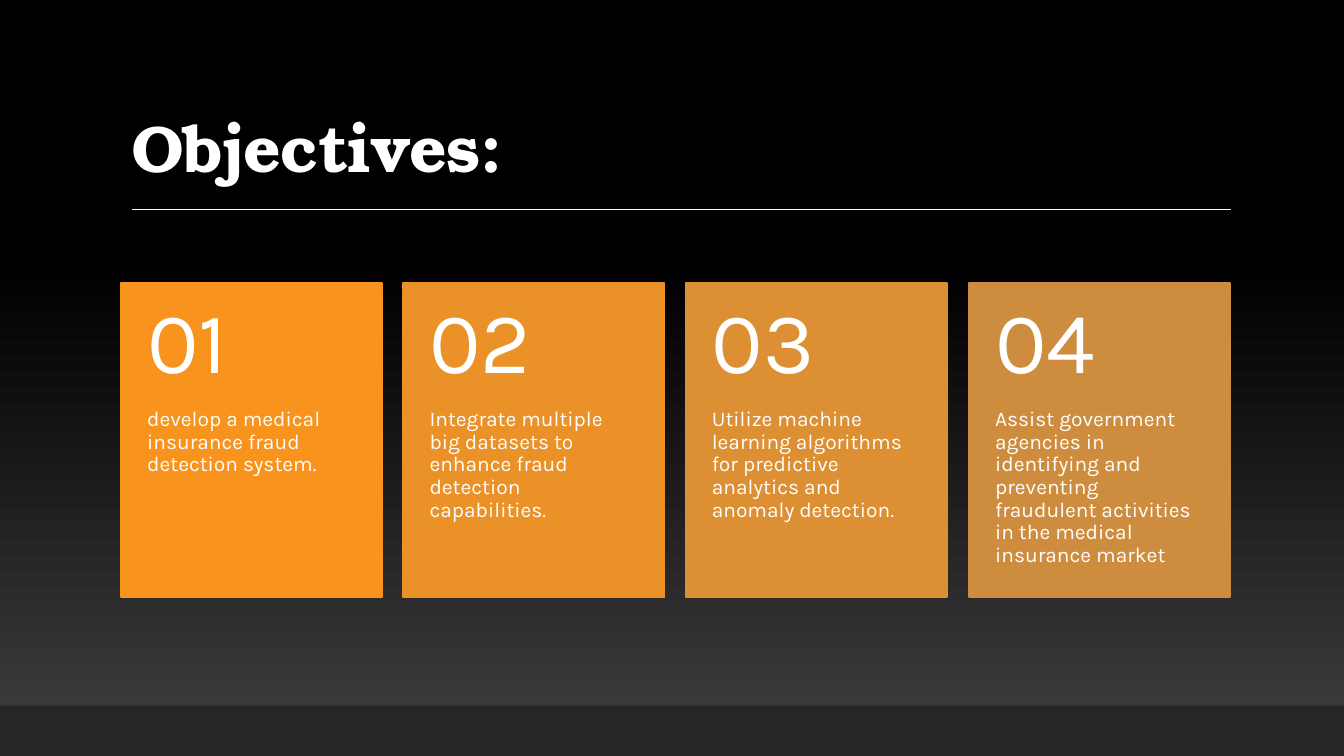
from dataclasses import dataclass

from lxml import etree
from pptx import Presentation
from pptx.dml.color import RGBColor
from pptx.enum.shapes import MSO_CONNECTOR, MSO_SHAPE
from pptx.enum.text import MSO_ANCHOR, MSO_AUTO_SIZE, PP_ALIGN
from pptx.oxml.ns import qn
from pptx.util import Emu, Pt

PX = 9144  # 100 px to the inch
SLIDE_W, SLIDE_H = 1333, 750
TITLE_ONLY = 5

RECT = MSO_SHAPE.RECTANGLE
STRAIGHT = MSO_CONNECTOR.STRAIGHT
TOP, MIDDLE, BOTTOM = MSO_ANCHOR.TOP, MSO_ANCHOR.MIDDLE, MSO_ANCHOR.BOTTOM
LEFT = PP_ALIGN.LEFT
NO_AUTOFIT = MSO_AUTO_SIZE.NONE

WHITE = RGBColor(0xFF, 0xFF, 0xFF)
BLACK = RGBColor(0x00, 0x00, 0x00)
GREY = RGBColor(0x3F, 0x3F, 0x3F)
FOOTER_GREY = RGBColor(0x26, 0x26, 0x26)

TITLE_FONT, BODY_FONT = "TeX Gyre Bonum", "Karla"

CARD_LEFT, CARD_TOP, CARD_W, CARD_H = 120, 281, 259, 311
CARDS_RIGHT = 1220
NUMBER_H = 124


@dataclass(frozen=True)
class Card:
    text: str
    color: RGBColor


@dataclass(frozen=True)
class TextStyle:
    font: str
    size: int
    anchor: MSO_ANCHOR
    insets: tuple[int, int, int, int]
    bold: bool = False


TITLE_STYLE = TextStyle(TITLE_FONT, 47, BOTTOM, (10, 5, 10, 5), bold=True)
NUMBER_STYLE = TextStyle(BODY_FONT, 62, MIDDLE, (26, 18, 26, 18))
BODY_STYLE = TextStyle(BODY_FONT, 15, TOP, (26, 0, 26, 36))

CARDS = [
    Card("develop a medical insurance fraud detection system.",
         RGBColor(0xF8, 0x93, 0x1D)),
    Card("Integrate multiple big datasets to enhance fraud detection capabilities.",
         RGBColor(0xEA, 0x91, 0x28)),
    Card("Utilize machine learning algorithms for predictive analytics and "
         "anomaly detection.",
         RGBColor(0xDC, 0x8F, 0x33)),
    Card("Assist government agencies in identifying and preventing fraudulent "
         "activities in the medical insurance market",
         RGBColor(0xCE, 0x8D, 0x3E)),
]


def px(*lengths: int) -> list[Emu]:
    return [Emu(n * PX) for n in lengths]


def fill_gradient(fill) -> None:
    """Fade from grey at the bottom to black at 65 % of the height."""
    fill.gradient()
    fill.gradient_angle = 90
    for stop, position, color in zip(fill.gradient_stops, (0, 0.65), (GREY, BLACK)):
        stop.position = position
        stop.color.rgb = color


def add_rect(shapes, *box: int):
    sp = shapes.add_shape(RECT, *px(*box))
    sp.shadow.inherit = False
    sp.line.fill.background()
    return sp


def set_text(sp, text: str, style: TextStyle) -> None:
    tf = sp.text_frame
    tf.text = text
    tf.word_wrap = True
    tf.auto_size = NO_AUTOFIT
    tf.vertical_anchor = style.anchor
    (tf.margin_left, tf.margin_top,
     tf.margin_right, tf.margin_bottom) = px(*style.insets)
    p = tf.paragraphs[0]
    p.alignment = LEFT
    p.line_spacing = 0.9
    font = p.runs[0].font
    font.name = style.font
    font.size = Pt(style.size)
    font.bold = style.bold
    font.color.rgb = WHITE


def add_title(s) -> None:
    sp = s.shapes.title
    sp.left, sp.top, sp.width, sp.height = px(120, 31, 1100, 159)
    set_text(sp, "Objectives:", TITLE_STYLE)
    r = sp.text_frame.paragraphs[0].runs[0]
    r.font._element.set("spc", "-50")


def add_title_rule(s) -> None:
    line = s.shapes.add_connector(STRAIGHT, *px(131, 208, 1221, 208))
    line.line.color.rgb = WHITE
    line.line.width = Pt(1)
    etree.SubElement(line._element.spPr, qn("a:effectLst"))


def add_card(shapes, number: int, left: int, card: Card) -> None:
    sp = add_rect(shapes, left, CARD_TOP, CARD_W, CARD_H)
    sp.fill.solid()
    sp.fill.fore_color.rgb = card.color
    sp.line.color.rgb = card.color
    sp.line.width = Pt(1.25)

    body = shapes.add_textbox(
        *px(left, CARD_TOP + NUMBER_H, CARD_W, CARD_H - NUMBER_H))
    set_text(body, card.text, BODY_STYLE)
    heading = shapes.add_textbox(*px(left, CARD_TOP, CARD_W, NUMBER_H))
    set_text(heading, f"{number:02}", NUMBER_STYLE)


def main() -> None:
    prs = Presentation()
    prs.slide_width, prs.slide_height = px(SLIDE_W, SLIDE_H)
    s = prs.slides.add_slide(prs.slide_layouts[TITLE_ONLY])
    fill_gradient(s.background.fill)

    backdrop = add_rect(s.shapes, 0, 0, SLIDE_W, SLIDE_H)
    fill_gradient(backdrop.fill)
    s.shapes.title._element.addprevious(backdrop._element)

    add_title(s)
    add_title_rule(s)

    footer = add_rect(s.shapes, 0, 700, SLIDE_W, 50)
    footer.fill.solid()
    footer.fill.fore_color.rgb = FOOTER_GREY

    group = s.shapes.add_group_shape()
    span = CARDS_RIGHT - CARD_W - CARD_LEFT
    for i, card in enumerate(CARDS):
        left = CARD_LEFT + span * i // (len(CARDS) - 1)
        add_card(group.shapes, i + 1, left, card)

    prs.save("out.pptx")


if __name__ == "__main__":
    main()
